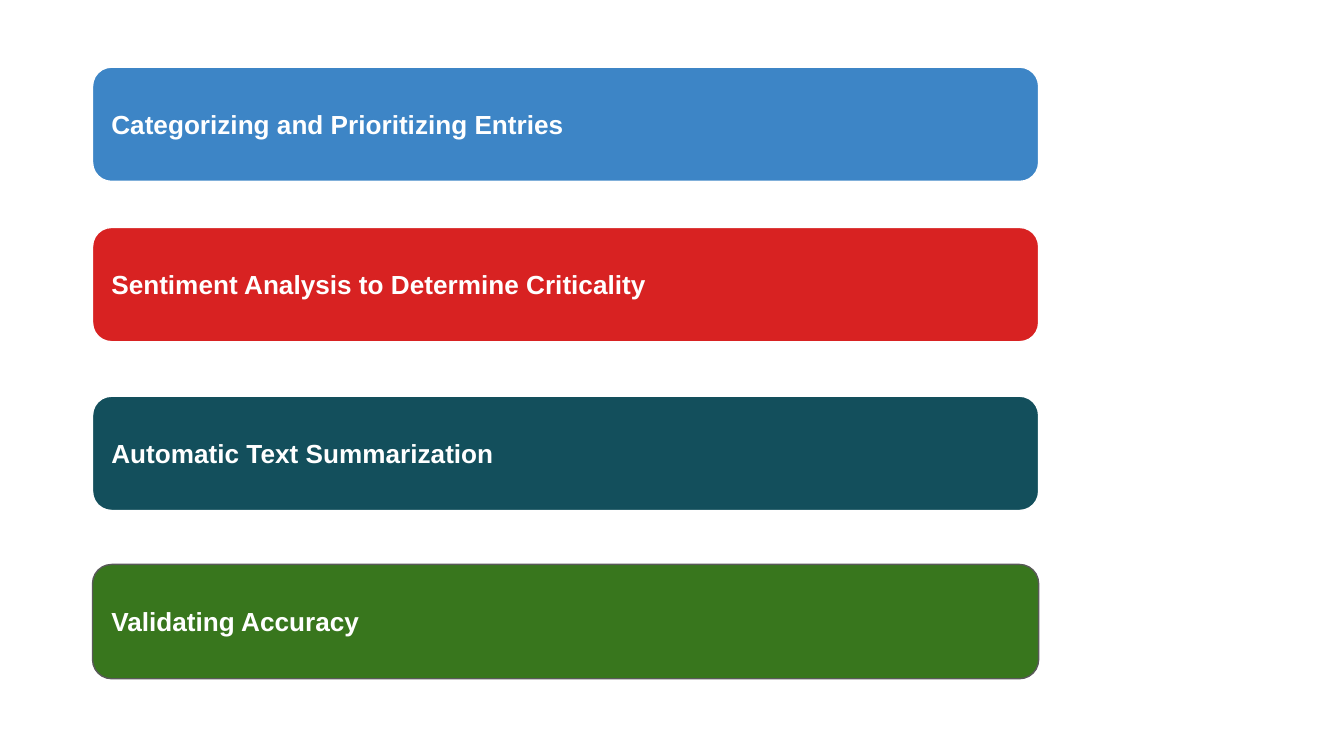
from pptx import Presentation
from pptx.dml.color import RGBColor
from pptx.enum.shapes import MSO_SHAPE
from pptx.enum.text import MSO_ANCHOR, PP_ALIGN
from pptx.util import Cm, Pt

WHITE = "FFFFFF"
GRAY = "595959"
BAR_HEIGHT = 2.16
STEPS = [
    ("Categorizing and Prioritizing Entries", 1.27, "3D85C6", WHITE),
    ("Sentiment Analysis to Determine Criticality", 4.3, "D82222", WHITE),
    ("Automatic Text Summarization", 7.49, "134F5C", WHITE),
    ("Validating Accuracy", 10.67, "38761D", GRAY),
]


def paint(color_format, color):
    color_format.rgb = RGBColor.from_string(color)


def add_bar(page, text, left, top, width, height, fill, outline):
    bar = page.shapes.add_shape(
        MSO_SHAPE.FLOWCHART_ALTERNATE_PROCESS,
        Cm(left), Cm(top), Cm(width), Cm(height),
    )
    bar.shadow.inherit = False
    bar.fill.solid()
    paint(bar.fill.fore_color, fill)
    paint(bar.line.color, outline)
    bar.line.width = Pt(0.75)

    frame = bar.text_frame
    frame.word_wrap = True
    frame.vertical_anchor = MSO_ANCHOR.MIDDLE
    frame.margin_left = frame.margin_right = Cm(0.25)
    frame.margin_top = frame.margin_bottom = Cm(0.25)
    frame.text = text
    paragraph = frame.paragraphs[0]
    paragraph.alignment = PP_ALIGN.LEFT
    for span in paragraph.runs:
        span.font.name = "Arial"
        span.font.size = Pt(14)
        span.font.bold = True
        paint(span.font.color, WHITE)


def add_steps(page, left, width):
    for text, top, fill, outline in STEPS:
        add_bar(page, text, left, top, width, BAR_HEIGHT, fill, outline)


def main():
    deck = Presentation()
    deck.slide_width = Cm(25.4)
    deck.slide_height = Cm(14.29)
    page = deck.slides.add_slide(deck.slide_layouts[6])
    page.background.fill.solid()
    paint(page.background.fill.fore_color, WHITE)
    add_steps(page, left=1.75, width=17.88)
    deck.save("out.pptx")


if __name__ == "__main__":
    main()
